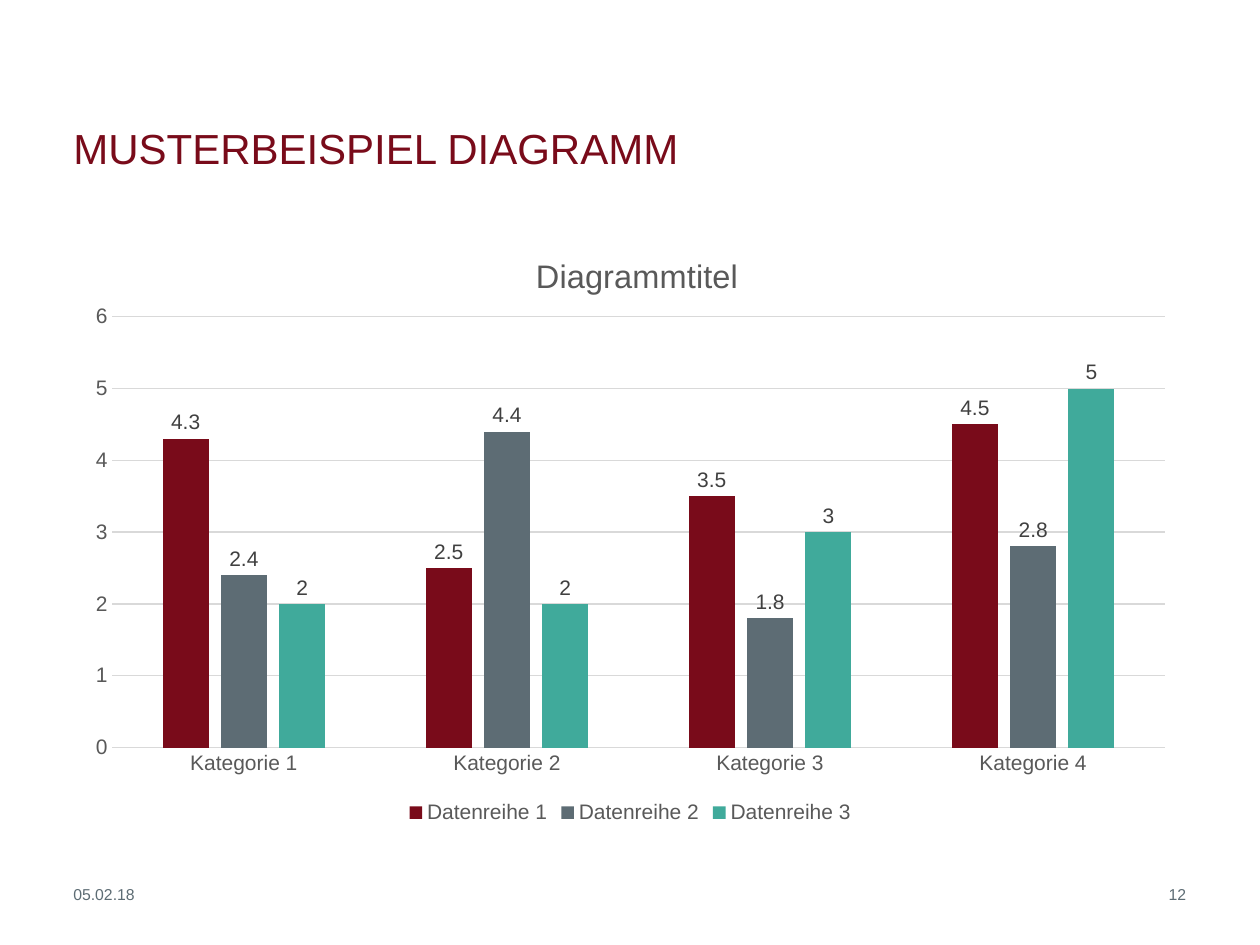
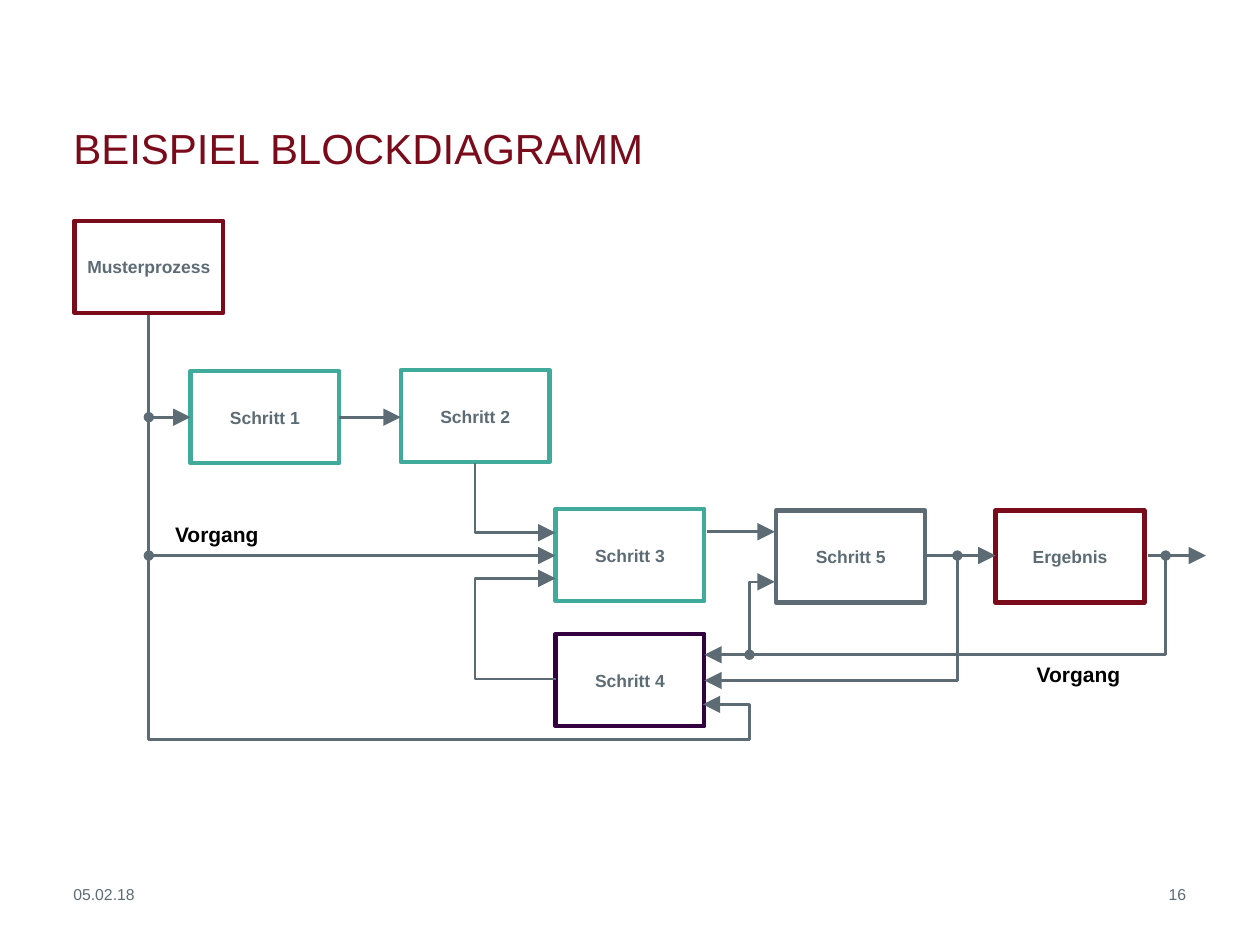
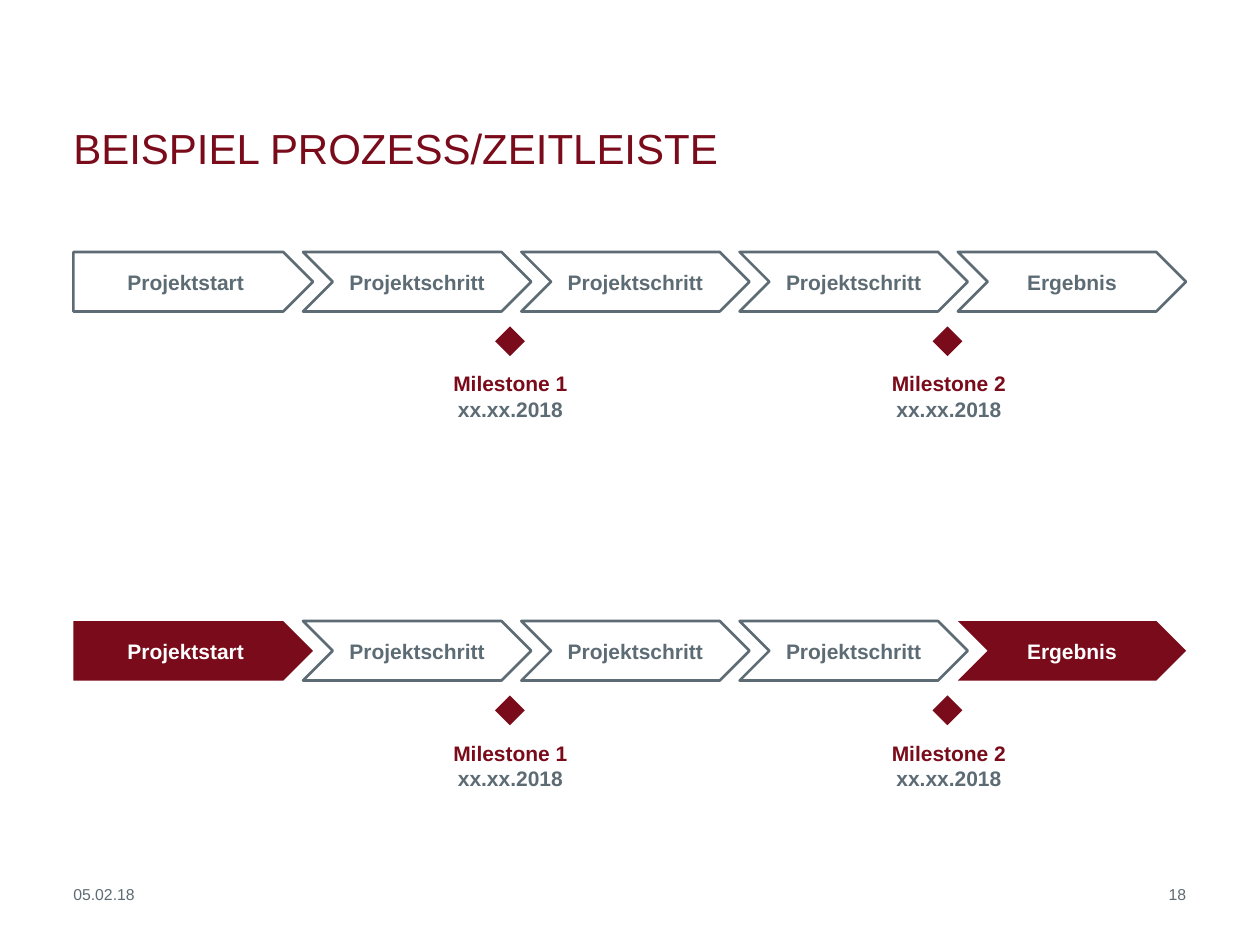
from lxml import etree
from pptx import Presentation
from pptx import util as u
from pptx.chart.data import CategoryChartData
from pptx.dml.color import RGBColor
from pptx.enum import chart as ch, shapes, text
from pptx.oxml import ns

Cm, Pt = u.Cm, u.Pt
FONT = "Arial"
HUE = {"red": "790B1A", "grey": "5D6C74", "teal": "40AA9B", "plum": "330040",
       "white": "FFFFFF", "black": "000000", "grid": "D9D9D9", "axis": "595959",
       "label": "404040"}
LEFT, RIGHT = 1.48, 23.91
DATE = "05.02.18"
ALIGN = {"l": text.PP_ALIGN.LEFT, "c": text.PP_ALIGN.CENTER, "r": text.PP_ALIGN.RIGHT}
ANCHOR = {"t": text.MSO_ANCHOR.TOP, "m": text.MSO_ANCHOR.MIDDLE,
          "b": text.MSO_ANCHOR.BOTTOM}
KIND = shapes.MSO_SHAPE

# Bar chart
CATS = [f"Kategorie {n}" for n in range(1, 5)]
SERIES = [("Datenreihe 1", (4.3, 2.5, 3.5, 4.5), "red"),
          ("Datenreihe 2", (2.4, 4.4, 1.8, 2.8), "grey"),
          ("Datenreihe 3", (2, 2, 3, 5), "teal")]

# Block diagram: name, left, top, outline
BOX = (3, 1.86)
STEPS = [("Ergebnis", 20.07, 10.29, "red"), ("Schritt 5", 15.65, 10.29, "grey"),
         ("Musterprozess", 1.5, 4.45, "red"), ("Schritt 1", 3.84, 7.48, "teal"),
         ("Schritt 2", 8.08, 7.46, "teal"), ("Schritt 4", 11.2, 12.78, "plum"),
         ("Schritt 3", 11.2, 10.26, "teal")]
NOTES = [("Vorgang", 20.9, 13.34), ("Vorgang", 3.53, 10.52)]
# Arrows: dot at the start, points from start to tip
FLOWS = [
    (True, [(3, 11.2), (11.2, 11.2)]),
    (True, [(3, 8.41), (3.84, 8.41)]),
    (False, [(6.83, 8.41), (8.08, 8.41)]),
    (False, [(14.25, 10.72), (15.62, 10.72)]),
    (False, [(18.64, 11.2), (20.07, 11.2)]),
    (False, [(3, 6.35), (3, 14.91), (15.11, 14.91), (15.11, 14.2), (14.17, 14.2)]),
    (True, [(15.11, 13.2), (15.11, 11.73), (15.62, 11.73)]),
    (False, [(9.58, 9.34), (9.58, 10.74), (11.2, 10.74)]),
    (False, [(11.2, 13.69), (9.58, 13.69), (9.58, 11.66), (11.2, 11.66)]),
    (True, [(19.3, 11.2), (19.3, 13.72), (14.2, 13.72)]),
    (True, [(23.5, 11.2), (23.5, 13.2), (14.2, 13.2)]),
    (False, [(23.14, 11.2), (24.31, 11.2)]),
]

# Timeline
PHASES = ["Projektstart"] + ["Projektschritt"] * 3 + ["Ergebnis"]
STONES = [("Milestone 1", 9.98, 8.13), ("Milestone 2", 18.8, 16.97)]
STONE_DATE = "xx.xx.2018"
ROWS = [(5.08, False), (12.52, True)]  # top, ends filled


def rgb(name):
    return RGBColor.from_string(HUE[name])


def style(font, size, hue, bold=False):
    for key, val in {"name": FONT, "size": Pt(size), "bold": bold}.items():
        setattr(font, key, val)
    font.color.rgb = rgb(hue)


def write(shape, lines, size, bold=False, align="l", anchor="t", wrap=True):
    """Fill a shape with (text, colour) lines."""
    frame = shape.text_frame
    for key, val in {"margin_left": 0, "margin_right": 0, "margin_top": 0,
                     "margin_bottom": 0, "word_wrap": wrap,
                     "vertical_anchor": ANCHOR[anchor]}.items():
        setattr(frame, key, val)
    para = frame.paragraphs[0]
    para.alignment = ALIGN[align]
    for i, (words, hue) in enumerate(lines):
        if i:
            para.add_line_break()
        run = para.add_run()
        run.text = words
        style(run.font, size, hue, bold)


def label(slide, at, lines, size, **look):
    write(slide.shapes.add_textbox(*map(Cm, at)), lines, size, **look)


def block(slide, kind, at, fill=None, edge=None, width=1.5):
    shape = slide.shapes.add_shape(kind, *map(Cm, at))
    shape.shadow.inherit = False
    if fill:
        shape.fill.solid()
        shape.fill.fore_color.rgb = rgb(fill)
    else:
        shape.fill.background()
    if edge:
        shape.line.color.rgb = rgb(edge)
        shape.line.width = Pt(width)
    else:
        shape.line.fill.background()
    return shape


def arrow(slide, dot, points):
    pts = [(Cm(x), Cm(y)) for x, y in points]
    if len(pts) == 2:
        shape = slide.shapes.add_connector(shapes.MSO_CONNECTOR.STRAIGHT,
                                           *pts[0], *pts[1])
        etree.SubElement(shape._element.spPr, ns.qn("a:effectLst"))
    else:
        path = slide.shapes.build_freeform(*pts[0], scale=1.0)
        path.add_line_segments(pts[1:], close=False)
        shape = path.convert_to_shape()
        shape.shadow.inherit = False
        shape.fill.background()
    shape.line.color.rgb = rgb("grey")
    shape.line.width = Pt(1.5)
    ln = shape.line._get_or_add_ln()
    if dot:
        etree.SubElement(ln, ns.qn("a:headEnd"), type="oval")
    etree.SubElement(ln, ns.qn("a:tailEnd"), type="triangle", w="lg", len="lg")


def place(part, spot, **fields):
    """Give a chart part a manual layout, as fractions of the chart."""
    for old in part.findall(ns.qn("c:layout")):
        part.remove(old)
    layout = etree.Element(ns.qn("c:layout"))
    manual = etree.SubElement(layout, ns.qn("c:manualLayout"))
    for key, val in fields.items():
        etree.SubElement(manual, ns.qn("c:" + key), val=str(val))
    part.insert(spot, layout)


def page(deck, title, number):
    slide = deck.slides.add_slide(deck.slide_layouts[6])
    label(slide, (LEFT, 1.32, 18.16, 2.16), [(title, "red")], 24, anchor="b")
    label(slide, (LEFT, 17.83, 5.3, 1.2), [(DATE, "grey")], 9)
    label(slide, (RIGHT - 5.05, 17.83, 5.05, 0.5), [(str(number), "grey")], 9,
          align="r")
    return slide


def bars(slide):
    data = CategoryChartData()
    data.categories = CATS
    for name, vals, _ in SERIES:
        data.add_series(name, vals)
    chart = slide.shapes.add_chart(ch.XL_CHART_TYPE.COLUMN_CLUSTERED, Cm(LEFT),
                                   Cm(4.39), Cm(22.45), Cm(12.32), data).chart
    style(chart.font, 10, "black")

    frame = chart.chart_title.text_frame
    frame.text = "Diagrammtitel"
    style(frame.paragraphs[0].runs[0].font, 18.6, "axis")
    place(chart.chart_title._element, 1, xMode="edge", yMode="edge", x=0.41, y=0.05)
    place(chart._chartSpace.chart.plotArea, 0, layoutTarget="inner", xMode="edge",
          yMode="edge", x=0.035, y=0.162, w=0.945, h=0.705)

    chart.has_legend = True
    chart.legend.position = ch.XL_LEGEND_POSITION.BOTTOM
    chart.legend.include_in_layout = False
    style(chart.legend.font, 12, "axis")

    cat, val = chart.category_axis, chart.value_axis
    for axis in (cat, val):
        axis.major_tick_mark = axis.minor_tick_mark = ch.XL_TICK_MARK.NONE
        style(axis.tick_labels.font, 12, "axis")
    val.minimum_scale, val.maximum_scale, val.major_unit = 0, 6, 1
    val.format.line.fill.background()
    for line in (cat.format.line, val.major_gridlines.format.line):
        line.color.rgb = rgb("grid")
        line.width = Pt(0.75)

    plot = chart.plots[0]
    plot.gap_width, plot.overlap, plot.vary_by_categories = 219, -27, False
    for series, (_, _, hue) in zip(plot.series, SERIES):
        series.format.fill.solid()
        series.format.fill.fore_color.rgb = rgb(hue)
        tags = series.data_labels
        tags.show_value = True
        tags.position = ch.XL_LABEL_POSITION.OUTSIDE_END
        style(tags.font, 12, "label")


def blocks(slide):
    for name, x, y, edge in STEPS:
        box = block(slide, KIND.RECTANGLE, (x, y, *BOX), "white", edge, 2.5)
        write(box, [(name, "grey")], 10, bold=True, align="c", anchor="m")
    for name, x, y in NOTES:
        label(slide, (x, y, 1.73, 0.5), [(name, "black")], 12, bold=True, wrap=False)
    for dot, points in FLOWS:
        arrow(slide, dot, points)


def timeline(slide):
    wide, step, high = 4.6, 4.4, 1.2
    last = len(PHASES) - 1
    for top, solid in ROWS:
        for i, name in enumerate(PHASES):
            x = RIGHT - wide - (last - i) * step
            kind, at = KIND.CHEVRON, (x, top, wide, high)
            if i == 0:
                kind, at = KIND.PENTAGON, (LEFT, top, x + wide - LEFT, high)
            full = solid and i in (0, last)
            shape = block(slide, kind, at, "red" if full else None,
                          None if full else "grey")
            write(shape, [(name, "white" if full else "grey")], 12, bold=True,
                  align="c", anchor="m")
        for name, x, left in STONES:
            block(slide, KIND.DIAMOND, (x, top + 1.5, 0.6, 0.6), "red")
            label(slide, (left, top + 2.4, 4.32, 1.02),
                  [(name, "red"), (STONE_DATE, "grey")], 12, bold=True, align="c")


PAGES = [("MUSTERBEISPIEL DIAGRAMM", 12, bars),
         ("BEISPIEL BLOCKDIAGRAMM", 16, blocks),
         ("BEISPIEL PROZESS/ZEITLEISTE", 18, timeline)]


def main():
    deck = Presentation()
    deck.slide_width, deck.slide_height = Cm(25.4), Cm(19.05)
    for title, number, draw in PAGES:
        draw(page(deck, title, number))
    deck.save("out.pptx")


if __name__ == "__main__":
    main()
